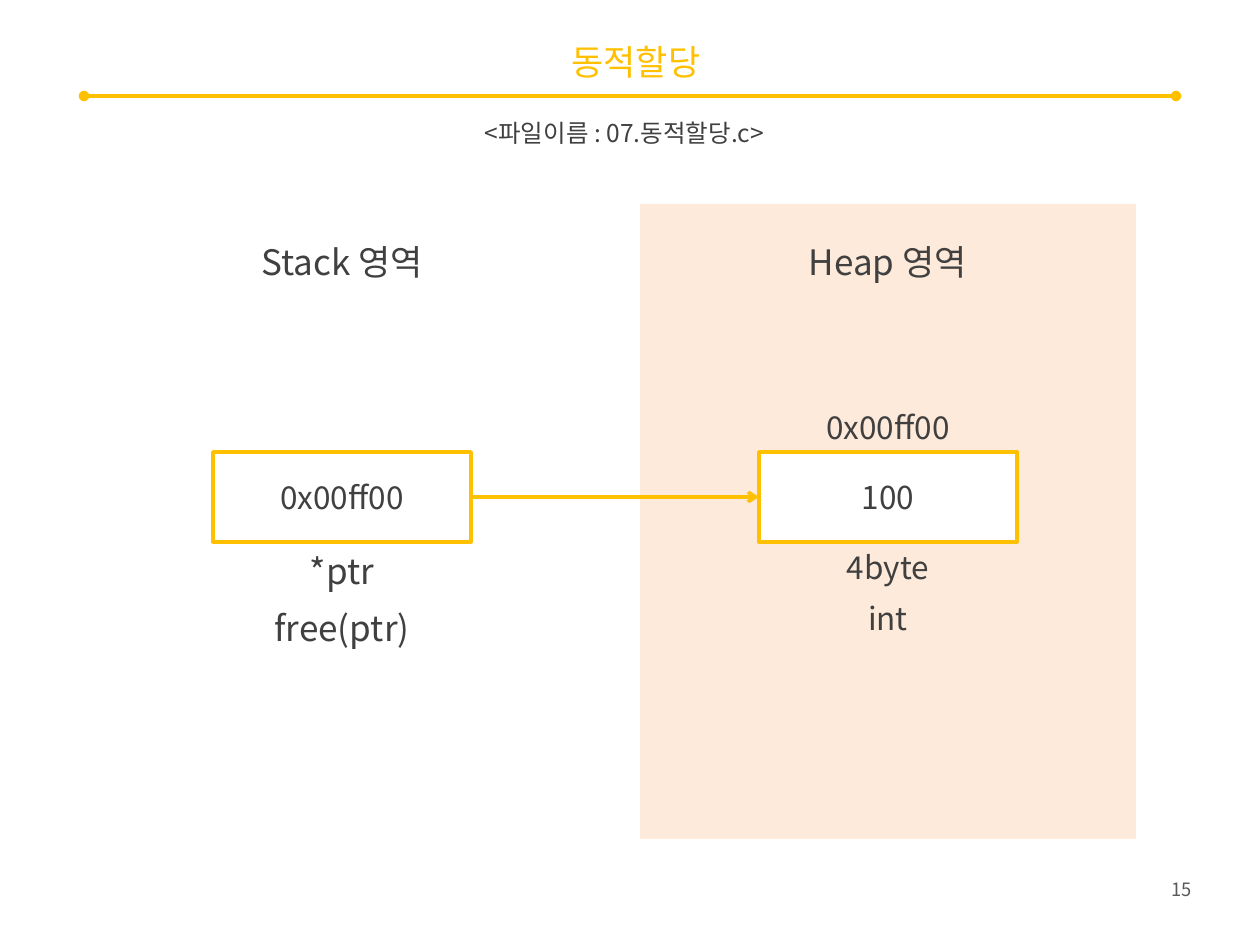
import pptx
import pptx.util
import pptx.dml.color
import pptx.enum.shapes
import pptx.enum.text
import pptx.oxml.ns
import lxml.etree

PX = 914400 / 126
FONT = "Noto Sans CJK KR"
GOLD = pptx.dml.color.RGBColor(0xFF, 0xC0, 0x00)
PEACH = pptx.dml.color.RGBColor(0xFD, 0xEA, 0xDA)
WHITE = pptx.dml.color.RGBColor(0xFF, 0xFF, 0xFF)
DARK = pptx.dml.color.RGBColor(0x40, 0x40, 0x40)
GREY = pptx.dml.color.RGBColor(0x59, 0x59, 0x59)

ALIGN = pptx.enum.text.PP_ALIGN
ANCHOR = pptx.enum.text.MSO_ANCHOR
RECTANGLE = pptx.enum.shapes.MSO_SHAPE.RECTANGLE
STRAIGHT = pptx.enum.shapes.MSO_CONNECTOR.STRAIGHT
RIGHT_SIDE, LEFT_SIDE = 3, 1


def emu(*lengths):
    return [pptx.util.Emu(round(length * PX)) for length in lengths]


def write(shape, text, size, color=DARK, align=ALIGN.CENTER, anchor=ANCHOR.MIDDLE):
    frame = shape.text_frame
    for key, value in {"word_wrap": True, "vertical_anchor": anchor}.items():
        setattr(frame, key, value)
    paragraph = frame.paragraphs[0]
    paragraph.alignment = align
    run = paragraph.add_run()
    run.text = text
    for key, value in {"name": FONT, "size": pptx.util.Pt(size)}.items():
        setattr(run.font, key, value)
    run.font.color.rgb = color
    east_asian = lxml.etree.SubElement(run.font._element, pptx.oxml.ns.qn("a:ea"))
    east_asian.set("typeface", FONT)


def add_label(slide, box, text, size, **style):
    write(slide.shapes.add_textbox(*emu(*box)), text, size, **style)


def add_rectangle(slide, box, fill, outline=None):
    rectangle = slide.shapes.add_shape(RECTANGLE, *emu(*box))
    rectangle.shadow.inherit = False
    rectangle.fill.solid()
    rectangle.fill.fore_color.rgb = fill
    if outline is None:
        rectangle.line.fill.background()
    else:
        rectangle.line.color.rgb = outline
        rectangle.line.width = pptx.util.Pt(2)
    return rectangle


def add_line(slide, start, end, **ends):
    """Draw a gold line; ends maps headEnd or tailEnd to an arrowhead type."""
    line = slide.shapes.add_connector(STRAIGHT, *emu(*start, *end))
    line.line.color.rgb = GOLD
    line.line.width = pptx.util.Pt(2)
    outline = line.line._get_or_add_ln()
    for tag, kind in ends.items():
        lxml.etree.SubElement(outline, pptx.oxml.ns.qn("a:" + tag)).set("type", kind)
    lxml.etree.SubElement(line._element.spPr, pptx.oxml.ns.qn("a:effectLst"))
    return line


def add_header(slide, left, top, width, title, file_name):
    add_label(slide, (left + 21, top, width - 30, 48), title, 20, color=GOLD)
    rule = top + 58
    add_line(slide, (left, rule), (left + width, rule), headEnd="oval", tailEnd="oval")
    add_label(slide, (left, top + 74, width - 11, 43), file_name, 14, anchor=ANCHOR.TOP)


def add_memory_area(slide, left, top, width, heading, value, notes, fill=None, height=635):
    """Place a heading, a value box and (offset, text, size) notes; return the box."""
    if fill is not None:
        add_rectangle(slide, (left, top, width, height), fill)
    middle = left + width // 2
    for offset, text, size in [(30, heading, 20), *notes]:
        add_label(slide, (middle - 148, top + offset, 296, 54), text, size)
    cell = add_rectangle(slide, (middle - 129, top + 248, 258, 90), WHITE, GOLD)
    write(cell, value, 18)
    return cell


def add_pointer(slide, pointer, target):
    middle = pointer.top + pointer.height // 2
    start = (pointer.left + pointer.width) / PX, middle / PX
    arrow = add_line(slide, start, (target.left / PX, middle / PX), tailEnd="arrow")
    arrow.begin_connect(pointer, RIGHT_SIDE)
    arrow.end_connect(target, LEFT_SIDE)


def main():
    deck = pptx.Presentation()
    deck.slide_width, deck.slide_height = emu(1260, 945)
    slide = deck.slides.add_slide(deck.slide_layouts[6])

    add_header(slide, 84, 38, 1092, "동적할당", "<파일이름 : 07.동적할당.c>")
    pointer = add_memory_area(
        slide, 94, 204, 496, "Stack 영역", "0x00ff00",
        [(339, "*ptr", 20), (396, "free(ptr)", 20)])
    target = add_memory_area(
        slide, 640, 204, 496, "Heap 영역", "100",
        [(196, "0x00ff00", 18), (336, "4byte", 18), (387, "int", 18)], fill=PEACH)
    add_pointer(slide, pointer, target)
    add_label(slide, (1130, 872, 74, 37), "15", 10.5, color=GREY,
              align=ALIGN.RIGHT, anchor=ANCHOR.TOP)
    deck.save("out.pptx")


if __name__ == "__main__":
    main()
